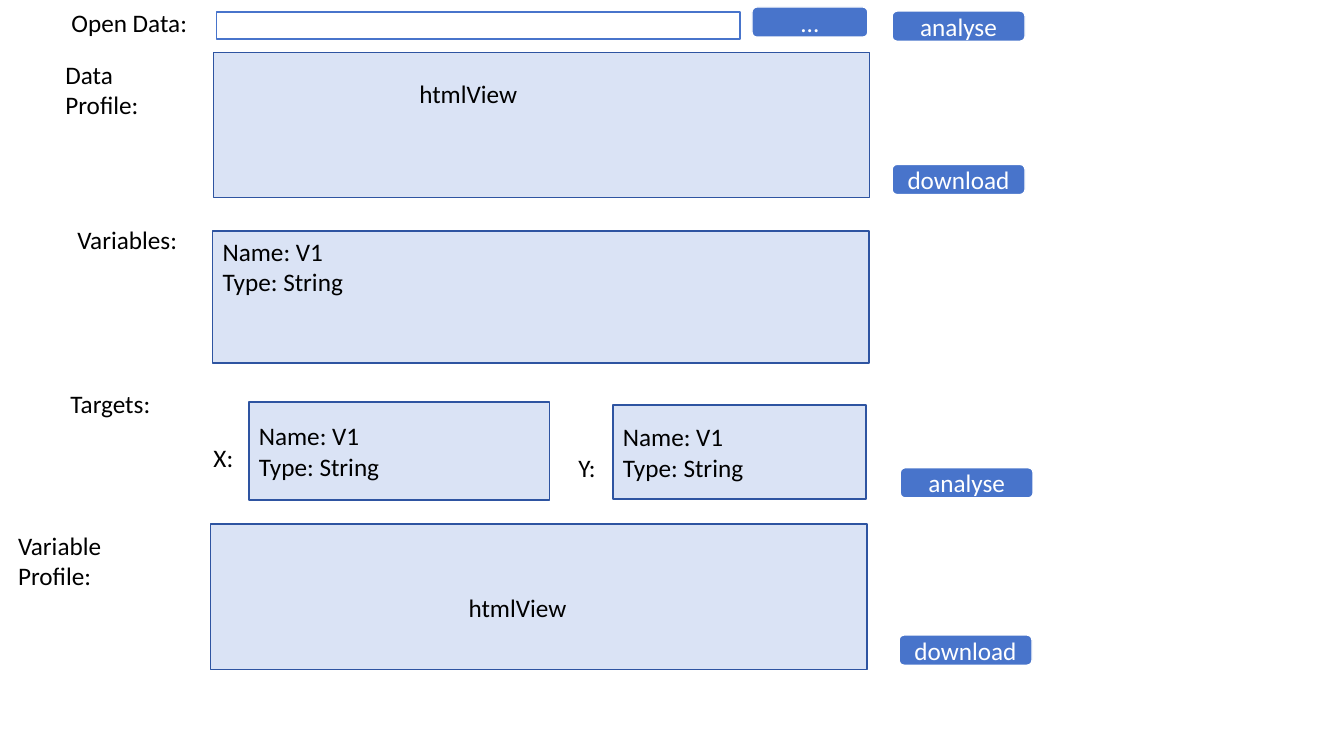
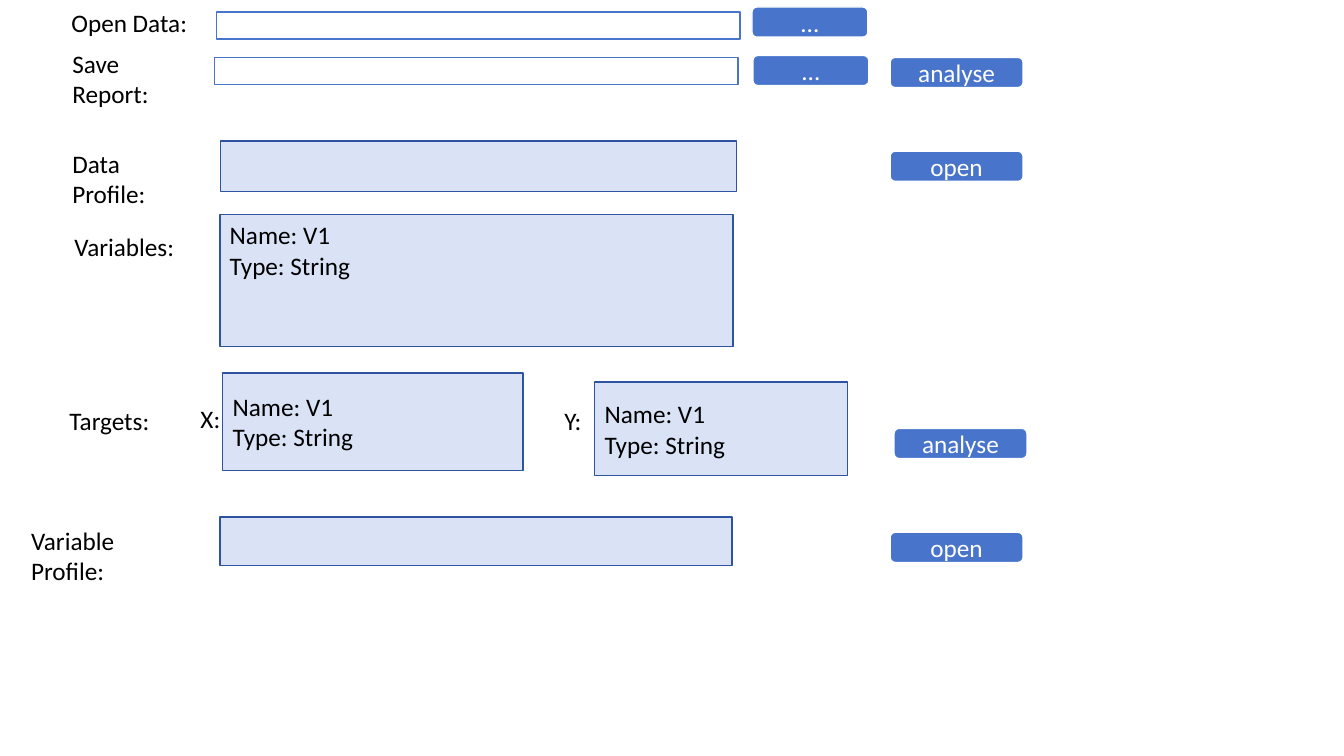
from pptx import Presentation
from pptx.dml.color import RGBColor
from pptx.enum.shapes import MSO_SHAPE
from pptx.enum.text import MSO_ANCHOR, MSO_AUTO_SIZE, PP_ALIGN
from pptx.util import Pt

COLORS = {"accent": "4874CB", "panel": "DAE3F5", "edge": "2E54A1",
          "text": "000000", "white": "FFFFFF"}
FONT = "Calibri"
ROW_H = 28.8
BUTTON_H = 21.6
FIELD = ["Name: V1", "Type: String"]


def rgb(name):
    return RGBColor.from_string(COLORS[name])


def write(tf, lines, color="text", size=18, align=PP_ALIGN.LEFT,
          anchor=MSO_ANCHOR.TOP):
    tf.word_wrap = True
    tf.vertical_anchor = anchor
    for i, line in enumerate(lines):
        p = tf.add_paragraph() if i else tf.paragraphs[0]
        p.alignment = align
        r = p.add_run()
        r.text = line
        r.font.name = FONT
        r.font.size = Pt(size)
        r.font.color.rgb = rgb(color)


# Kinds of element
def add_box(s, x, y, w, h, fill=None, line="edge", kind=MSO_SHAPE.RECTANGLE):
    sp = s.shapes.add_shape(kind, Pt(x), Pt(y), Pt(w), Pt(h))
    sp.shadow.inherit = False
    if fill:
        sp.fill.solid()
        sp.fill.fore_color.rgb = rgb(fill)
    else:
        sp.fill.background()
    sp.line.color.rgb = rgb(line)
    sp.line.width = Pt(1)
    return sp


def add_panel(s, x, y, w, h, lines=(), anchor=MSO_ANCHOR.MIDDLE):
    sp = add_box(s, x, y, w, h, fill="panel")
    write(sp.text_frame, lines, anchor=anchor)


def add_input(s, x, y):
    add_box(s, x, y, 373.7, 19.4, line="accent")


def add_button(s, text, x, y, w=95):
    sp = add_box(s, x, y, w, BUTTON_H, "accent", "white",
                 MSO_SHAPE.ROUNDED_RECTANGLE)
    write(sp.text_frame, [text], color="white", align=PP_ALIGN.CENTER,
          anchor=MSO_ANCHOR.MIDDLE)


def add_label(s, text, x, y, w=102.2, align=PP_ALIGN.LEFT):
    sp = s.shapes.add_textbox(Pt(x), Pt(y), Pt(w), Pt(ROW_H))
    write(sp.text_frame, [text], align=align)
    sp.text_frame.auto_size = MSO_AUTO_SIZE.SHAPE_TO_FIT_TEXT


# Groups of elements that both slides share
def add_file_row(s, label, label_at, input_at, browse_at):
    add_label(s, label, *label_at)
    add_input(s, *input_at)
    add_button(s, "...", *browse_at, w=82.8)


def add_open_data(s):
    add_file_row(s, "Open Data:", (43.9, 1.4), (154.8, 8.6), (537.1, 5))


def add_variables(s, label_at, x, y, w):
    add_label(s, "Variables:", *label_at)
    add_panel(s, x, y, w, 94.3, FIELD, MSO_ANCHOR.TOP)


def add_targets(s, label_at, x_label, x_panel, y_label, y_panel, button_at):
    add_label(s, "Targets:", *label_at)
    add_panel(s, *x_panel, 214.6, 69.8, FIELD)
    add_panel(s, *y_panel, 180.7, 67, FIELD)
    add_label(s, "X:", *x_label)
    add_label(s, "Y:", *y_label)
    add_button(s, "analyse", *button_at)


def add_profile(s, label, label_at, label_w, panel, action, button_at):
    add_label(s, label, *label_at, w=label_w)
    add_panel(s, *panel)
    add_button(s, action, *button_at)


def add_view_name(s, x, y):
    add_label(s, "htmlView", x, y, w=110.2, align=PP_ALIGN.CENTER)


# Slides
def build_embedded_view(s):
    add_open_data(s)
    add_button(s, "analyse", 637.2, 7.9)
    add_profile(s, "Data Profile:", (39.6, 38.9), 102.2,
                (152.6, 37.4, 468.7, 103.7), "download", (637.2, 117.4))
    add_view_name(s, 279.4, 52.6)
    add_variables(s, (48.2, 157), 151.9, 164.9, 468.7)
    add_targets(s, (43.2, 273.6), (145.4, 312.5), (177.8, 287.3),
                (406.1, 319.7), (437.8, 289.4), (643, 334.1))
    add_profile(s, "Variable Profile:", (5.8, 375.1), 128.2,
                (150.5, 374.4, 468.7, 103.7), "download", (642.2, 453.6))
    add_view_name(s, 314.6, 419.8)


def build_saved_report(s):
    add_open_data(s)
    add_file_row(s, "Save Report:", (44.6, 31), (153.4, 41), (537.8, 39.6))
    add_button(s, "analyse", 635.8, 41)
    add_profile(s, "Data Profile:", (44.6, 102.2), 102.2,
                (157.7, 100.8, 368.6, 36), "open", (635.8, 108))
    add_variables(s, (46.1, 162), 157, 153.4, 366.5)
    add_targets(s, (42.5, 285.8), (136.1, 284.4), (159.1, 266.4),
                (396, 285.8), (424.8, 272.9), (638.6, 306))
    add_profile(s, "Variable Profile:", (15.1, 371.5), 128.2,
                (157, 369.4, 365.8, 34.6), "open", (635.8, 380.2))


def main():
    prs = Presentation()
    prs.slide_width, prs.slide_height = Pt(960), Pt(540)
    blank = prs.slide_layouts.get_by_name("Blank")
    for build in (build_embedded_view, build_saved_report):
        build(prs.slides.add_slide(blank))
    prs.save("out.pptx")


main()
